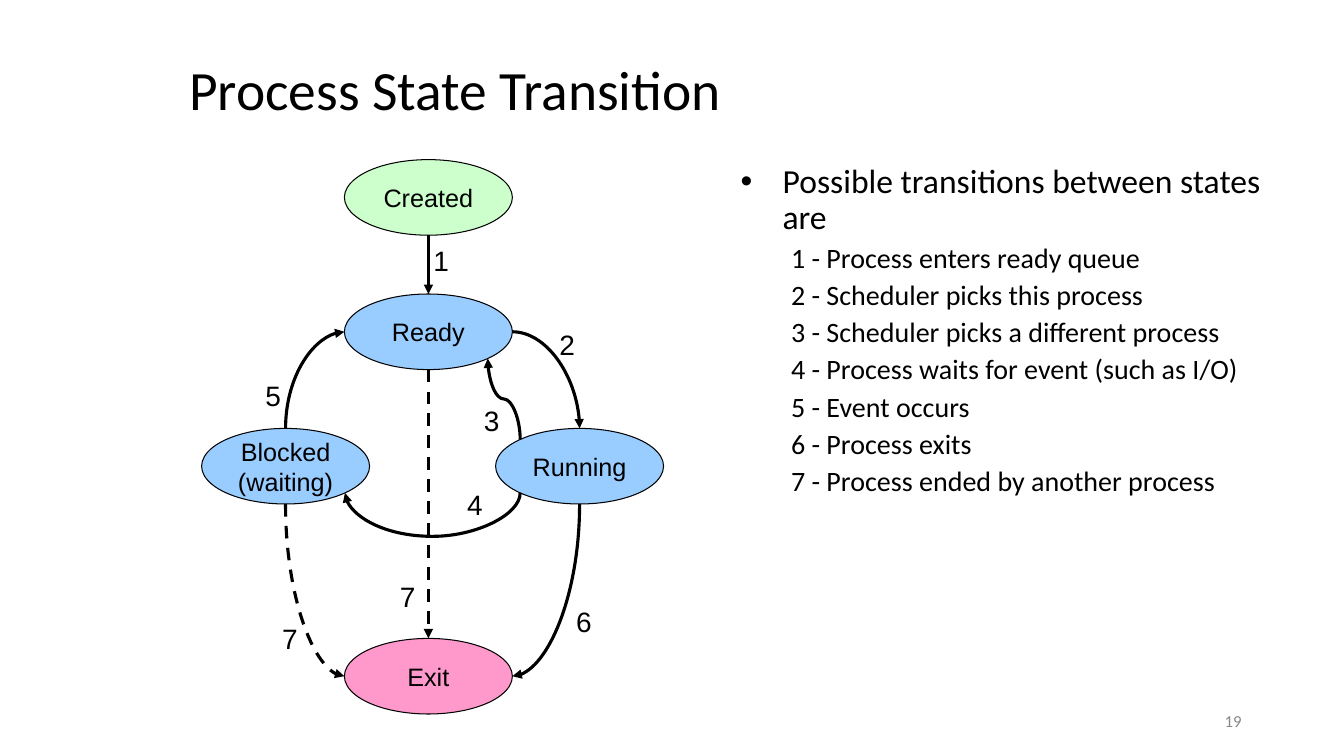
"""Build the process state transition slide."""
import math

import lxml.etree
import pptx
import pptx.dml.color
import pptx.enum.dml
import pptx.enum.shapes
import pptx.enum.text
import pptx.oxml.ns
import pptx.util

Pt = pptx.util.Pt
qn = pptx.oxml.ns.qn
SubElement = lxml.etree.SubElement
RGB = pptx.dml.color.RGBColor.from_string
ALIGN = pptx.enum.text.PP_ALIGN
ANCHOR = pptx.enum.text.MSO_ANCHOR
COLORS = {"ink": "000000", "number": "888888", "active": "99CCFF",
          "created": "CCFFCC", "exit": "FF99CC"}

presentation = pptx.Presentation()
presentation.slide_width, presentation.slide_height = Pt(960), Pt(540)
slide = presentation.slides.add_slide(presentation.slide_layouts[6])


def style(paragraph, size, font, color="ink", align=ALIGN.LEFT):
    paragraph.alignment = align
    paragraph.font.size = Pt(size)
    paragraph.font.name = font
    paragraph.font.color.rgb = RGB(COLORS[color])


def add_frame(left, top, width, height, anchor=ANCHOR.TOP):
    frame = slide.shapes.add_textbox(Pt(left), Pt(top), Pt(width), Pt(height)).text_frame
    frame.word_wrap = True
    frame.vertical_anchor = anchor
    return frame


page_number = add_frame(678, 500.5, 216, 28.75, ANCHOR.MIDDLE).paragraphs[0]
page_number.text = "19"
style(page_number, 12, "Calibri", "number", ALIGN.RIGHT)

STATE_WIDTH, STATE_HEIGHT = 120, 54
centers = {}
states = {}
for name, text, x, y, color in [
    ("blocked", "Blocked\v(waiting)", 204, 333, "active"),
    ("created", "Created", 306, 141, "created"),
    ("exit", "Exit", 306, 483, "exit"),
    ("ready", "Ready", 306, 237, "active"),
    ("running", "Running", 414, 333, "active"),
]:
    state = slide.shapes.add_shape(
        pptx.enum.shapes.MSO_SHAPE.OVAL, Pt(x - STATE_WIDTH / 2), Pt(y - STATE_HEIGHT / 2),
        Pt(STATE_WIDTH), Pt(STATE_HEIGHT))
    state.shadow.inherit = False
    state.fill.solid()
    state.fill.fore_color.rgb = RGB(COLORS[color])
    state.line.color.rgb = RGB(COLORS["ink"])
    state.line.width = Pt(0.75)
    state.text_frame.vertical_anchor = ANCHOR.MIDDLE
    state.text_frame.text = text
    style(state.text_frame.paragraphs[0], 18, "Arial", align=ALIGN.CENTER)
    centers[name], states[name] = (x, y), state

TOP, LEFT, LOWER_LEFT, BOTTOM, LOWER_RIGHT, RIGHT = 0, 2, 3, 4, 5, 6
UPPER_LEFT = 1
for source, exit_site, target, entry_site, preset, bend, dashed in [
    ("ready", RIGHT, "running", TOP, "curvedConnector2", None, False),
    ("created", BOTTOM, "ready", TOP, "line", None, False),
    ("blocked", TOP, "ready", LEFT, "curvedConnector2", None, False),
    ("running", LOWER_LEFT, "blocked", LOWER_RIGHT, "curvedConnector3", 54821800, False),
    ("running", UPPER_LEFT, "ready", LOWER_RIGHT, "curvedConnector3", 50000, False),
    ("running", BOTTOM, "exit", RIGHT, "curvedConnector2", None, False),
    ("blocked", BOTTOM, "exit", LEFT, "curvedConnector2", None, True),
    ("ready", BOTTOM, "exit", TOP, "line", None, True),
]:
    ends = []
    for name, site in [(source, exit_site), (target, entry_site)]:
        angle = math.radians(90 + 45 * site)
        x, y = centers[name]
        ends.append((x + STATE_WIDTH / 2 * math.cos(angle),
                     y - STATE_HEIGHT / 2 * math.sin(angle)))
    (x1, y1), (x2, y2) = ends
    width, height = abs(x2 - x1), abs(y2 - y1)
    turned = preset != "line" and exit_site != RIGHT
    if turned:
        width, height = max(height, 0.05), width
    left, top = (x1 + x2 - width) / 2, (y1 + y2 - height) / 2
    kind = pptx.enum.shapes.MSO_CONNECTOR
    transition = slide.shapes.add_connector(
        kind.STRAIGHT if preset == "line" else kind.CURVE,
        Pt(left), Pt(top), Pt(left + width), Pt(top + height))
    transition.line.color.rgb = RGB(COLORS["ink"])
    transition.line.width = Pt(2.25)
    if dashed:
        transition.line.dash_style = pptx.enum.dml.MSO_LINE.DASH
    properties = transition.element.spPr
    SubElement(properties.find(qn("a:ln")), qn("a:tailEnd"), type="triangle")
    SubElement(properties, qn("a:effectLst"))
    geometry = properties.find(qn("a:prstGeom"))
    geometry.set("prst", preset)
    if bend:
        SubElement(geometry.find(qn("a:avLst")), qn("a:gd"), name="adj1", fmla=f"val {bend}")
    if turned:
        leftward, downward = x2 < x1, y2 > y1 - 0.01
        frame = properties.find(qn("a:xfrm"))
        frame.set("rot", str((90 if leftward else 270) * 60000))
        if leftward != downward:
            frame.set("flipH", "1")
    joints = transition.element.find(".//" + qn("p:cNvCxnSpPr"))
    for tag, name, site in [("a:stCxn", source, exit_site), ("a:endCxn", target, entry_site)]:
        SubElement(joints, qn(tag), id=str(states[name].shape_id), idx=str(site))

title = add_frame(128, 42, 816, 48, ANCHOR.MIDDLE).paragraphs[0]
title.text = "Process State Transition"
title.line_spacing = 0.9
style(title, 39.6, "Calibri")

explanation = add_frame(522, 114, 418, 390)
heading = explanation.paragraphs[0]
heading.text = "Possible transitions between states are"
heading.line_spacing = 0.9
indents = heading._p.get_or_add_pPr()
indents.set("marL", str(Pt(30)))
indents.set("indent", str(Pt(-30)))
SubElement(indents, qn("a:buFont"), typeface="Arial")
SubElement(indents, qn("a:buChar"), char="•")
style(heading, 24, "Calibri")
for number, meaning in enumerate([
    "Process enters ready queue",
    "Scheduler picks this process",
    "Scheduler picks a different process",
    "Process waits for event (such as I/O)",
    "Event occurs",
    "Process exits",
    "Process ended by another process",
], start=1):
    entry = explanation.add_paragraph()
    entry.text = f"{number} - {meaning}"
    entry.level = 1
    entry.line_spacing = 0.9
    entry.space_before = Pt(5)
    indents = entry._p.get_or_add_pPr()
    indents.set("marL", str(Pt(63)))
    indents.set("indent", str(Pt(-27)))
    SubElement(indents, qn("a:buNone"))
    style(entry, 20, "Calibri")

for number, left, top in [
    (1, 306, 174), (5, 186, 270), (4, 330, 348), (3, 342, 288),
    (2, 396, 234), (7, 282, 414), (7, 198, 444), (6, 408, 432),
]:
    label = add_frame(left, top, 18.5, 24)
    label.margin_left = label.margin_right = Pt(3.6)
    label.margin_top = label.margin_bottom = 0
    label.word_wrap = False
    label.auto_size = pptx.enum.text.MSO_AUTO_SIZE.SHAPE_TO_FIT_TEXT
    label.text = str(number)
    style(label.paragraphs[0], 20, "Arial")

presentation.save("out.pptx")
